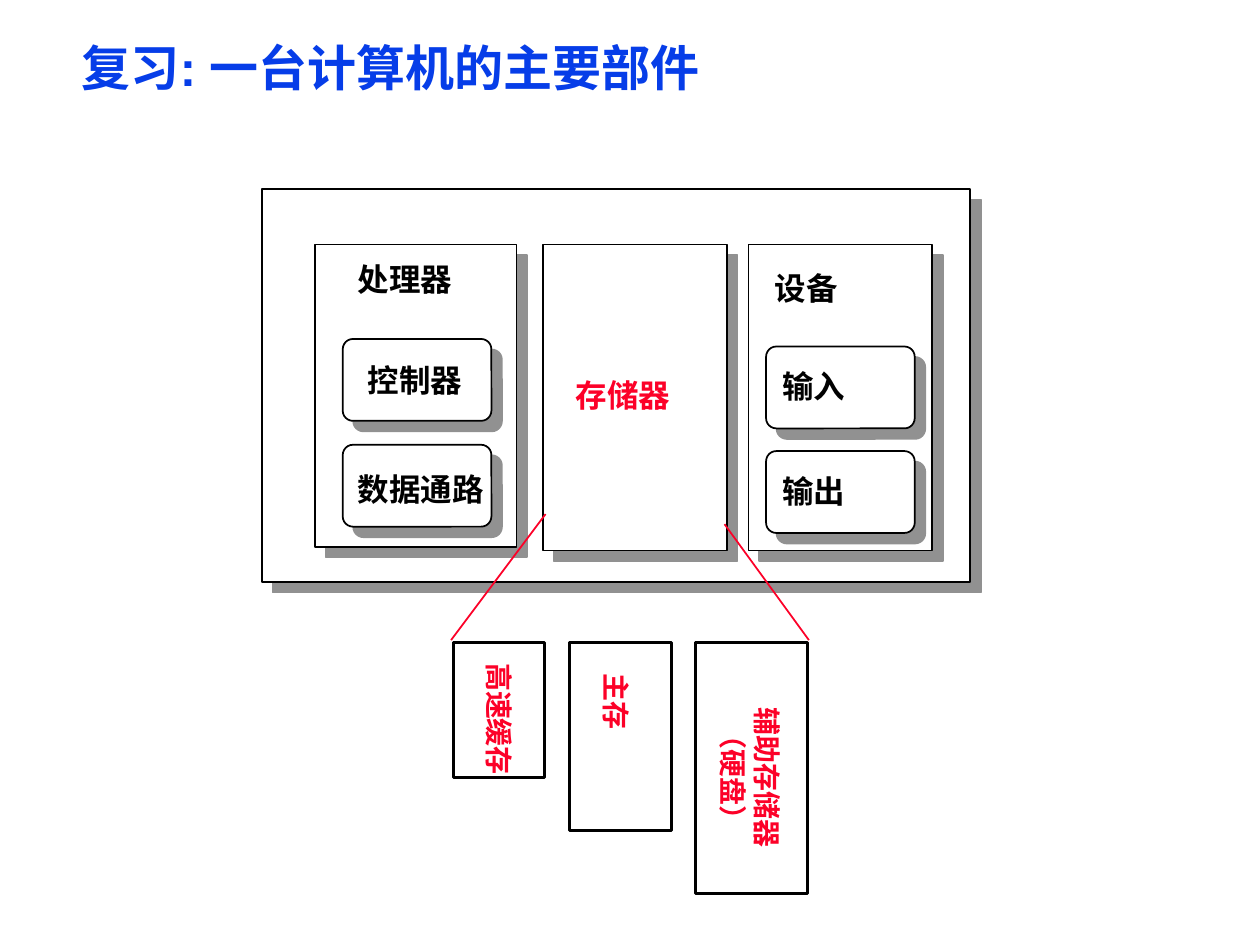
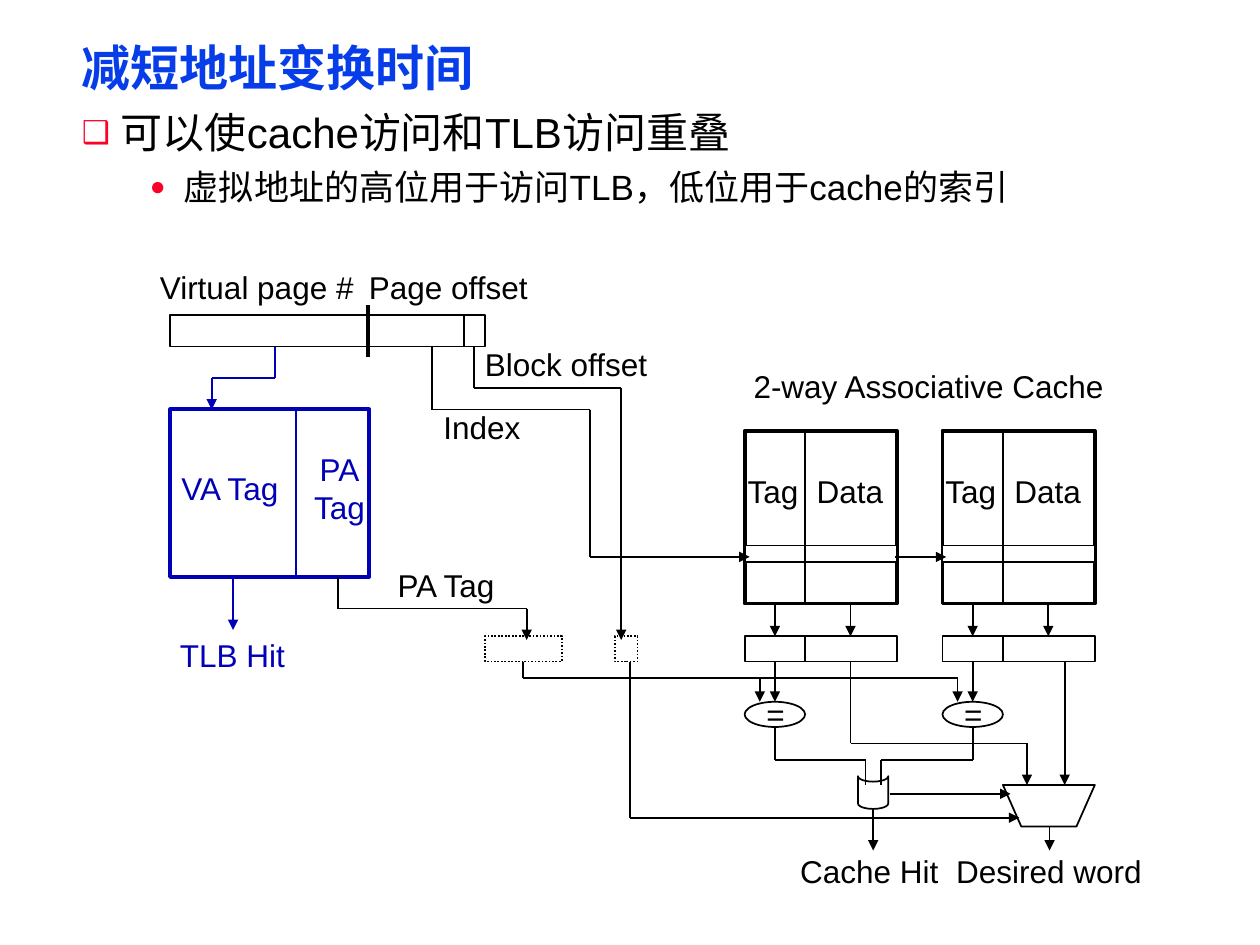
"""Build two lecture slides: computer components and overlapped TLB/cache access."""
from itertools import pairwise

from lxml import etree
from pptx import Presentation
from pptx.dml.color import RGBColor
from pptx.enum.dml import MSO_LINE
from pptx.enum.shapes import MSO_CONNECTOR, MSO_SHAPE as SHAPE
from pptx.enum.text import MSO_ANCHOR as ANCHOR, MSO_AUTO_SIZE, PP_ALIGN as ALIGN
from pptx.oxml.ns import qn
from pptx.util import Inches, Pt

FONT = "Arial"
BLACK = RGBColor(0x00, 0x00, 0x00)
WHITE = RGBColor(0xFF, 0xFF, 0xFF)
RED = RGBColor(0xFC, 0x01, 0x28)
TITLE_BLUE = RGBColor(0x06, 0x3D, 0xE8)
TLB_BLUE = RGBColor(0x00, 0x00, 0xB6)
SHADOW_GREY = RGBColor(0x91, 0x91, 0x91)
TIGHT = (0.07, 0.03)
LOOSE = (0.1, 0.05)


def write(tf, text, size=18, color=BLACK, bold=False, align=ALIGN.LEFT,
          anchor=ANCHOR.TOP, spacing=1.0, inset=LOOSE, wrap=True):
    """Fill a text frame, one paragraph for each line of text."""
    tf.auto_size = MSO_AUTO_SIZE.NONE
    tf.word_wrap = wrap
    tf.vertical_anchor = anchor
    tf.margin_left = tf.margin_right = Inches(inset[0])
    tf.margin_top = tf.margin_bottom = Inches(inset[1])
    for i, line in enumerate(text.split("\n")):
        p = tf.add_paragraph() if i else tf.paragraphs[0]
        p.alignment, p.line_spacing = align, spacing
        r = p.add_run()
        r.text = line
        font = r.font
        font.name, font.size, font.bold = FONT, Pt(size), bold
        font.color.rgb = color


def place(sp, left, top, width, height):
    """Move and size a shape, in inches."""
    sp.left, sp.top = Inches(left), Inches(top)
    sp.width, sp.height = Inches(width), Inches(height)


def add_label(slide, text, left, top, width, height=0.4, rotation=0, **fmt):
    """Add a text box."""
    sp = slide.shapes.add_textbox(0, 0, 0, 0)
    place(sp, left, top, width, height)
    sp.rotation = rotation
    write(sp.text_frame, text, **fmt)


def add_note(slide, text, left, top, width, height=0.4, align=ALIGN.CENTER, **fmt):
    """Add a diagram label centred on its middle line."""
    add_label(slide, text, left, top, width, height, align=align,
              anchor=ANCHOR.MIDDLE, **fmt)


def add_box(slide, left, top, width, height, kind=SHAPE.RECTANGLE, color=BLACK,
            weight=1, filled=True):
    """Add an outlined shape."""
    sp = slide.shapes.add_shape(kind, 0, 0, 0, 0)
    place(sp, left, top, width, height)
    sp.shadow.inherit = False
    if filled:
        sp.fill.solid()
        sp.fill.fore_color.rgb = WHITE
    else:
        sp.fill.background()
    sp.line.color.rgb = color
    sp.line.width = Pt(weight)
    return sp


def add_raised_box(slide, left, top, width, height, rounded=False):
    """Add a box that casts a hard grey shadow."""
    kind = SHAPE.ROUNDED_RECTANGLE if rounded else SHAPE.RECTANGLE
    sp = add_box(slide, left, top, width, height, kind)
    if rounded:
        sp.adjustments[0] = 0.125
    effects = sp._element.spPr.find(qn("a:effectLst"))
    shadow = etree.SubElement(effects, qn("a:outerShdw"), blurRad="0", dist=str(Pt(8.5)),
                              dir=str(45 * 60000), algn="tl", rotWithShape="0")
    etree.SubElement(shadow, qn("a:srgbClr"), val=str(SHADOW_GREY))


def add_wire(slide, left, top, points, color=BLACK, weight=1, arrow=False):
    """Join points given relative to left and top, with an optional end arrow."""
    for (x1, y1), (x2, y2) in pairwise(points):
        sp = slide.shapes.add_connector(
            MSO_CONNECTOR.STRAIGHT, Inches(left + x1), Inches(top + y1),
            Inches(left + x2), Inches(top + y2))
        sp.line.color.rgb = color
        sp.line.width = Pt(weight)
        etree.SubElement(sp._element.spPr, qn("a:effectLst"))
    if arrow:
        etree.SubElement(sp.line._get_or_add_ln(), qn("a:tailEnd"), type="triangle")


def add_titled_slide(prs, layout, title, width):
    """Add a slide with the shared title style."""
    slide = prs.slides.add_slide(prs.slide_layouts[layout])
    sp = slide.shapes.title
    place(sp, 0.58, 0.33, width, 0.47)
    write(sp.text_frame, title, size=28, color=TITLE_BLUE, bold=True,
          spacing=0.87, inset=TIGHT)
    return slide


def add_bullet(p, char, margin, hanging):
    """Give a paragraph a red bullet and a hanging indent."""
    pPr = p._p.get_or_add_pPr()
    pPr.set("marL", str(Inches(margin)))
    pPr.set("indent", str(-Inches(hanging)))
    color = etree.SubElement(pPr, qn("a:buClr"))
    etree.SubElement(color, qn("a:srgbClr"), val=str(RED))
    etree.SubElement(pPr, qn("a:buSzPct"), val="75000")
    etree.SubElement(pPr, qn("a:buFont"), typeface=FONT)
    etree.SubElement(pPr, qn("a:buChar"), char=char)


def fill_body(sp, heading, detail):
    """Write the two-level list in the body placeholder."""
    place(sp, 0.58, 0.86, 8.92, 0.84)
    write(sp.text_frame, f"{heading}\n{detail}", size=24, spacing=0.9, inset=TIGHT)
    first, second = sp.text_frame.paragraphs
    first.space_before = Pt(0)
    second.level, second.line_spacing, second.space_before = 1, 0.85, Pt(8)
    second.runs[0].font.size = Pt(20)
    add_bullet(first, "❑", 0.31, 0.31)
    add_bullet(second, "●", 0.81, 0.27)


def draw_computer(slide, left, top):
    """Draw the computer with its processor, memory and devices."""
    add_raised_box(slide, left, top, 5.62, 3.12)
    for x, width, height in ((0.42, 1.6, 2.4), (2.23, 1.46, 2.43), (3.86, 1.46, 2.43)):
        add_raised_box(slide, left + x, top + 0.44, width, height)
    for x, y in ((0.64, 1.19), (0.64, 2.03), (4, 1.25), (4, 2.08)):
        add_raised_box(slide, left + x, top + y, 1.18, 0.65, rounded=True)
    parts = (("处理器", 0.69, 0.58, BLACK), ("控制器", 0.77, 1.38, BLACK),
             ("数据通路", 0.69, 2.25, BLACK), ("存储器", 2.42, 1.5, RED),
             ("设备", 4, 0.65, BLACK), ("输入", 4.06, 1.43, BLACK),
             ("输出", 4.06, 2.26, BLACK))
    for text, x, y, color in parts:
        add_label(slide, text, left + x, top + y, 1.15, 0.31, color=color, bold=True,
                  spacing=0.85, inset=TIGHT, wrap=False)


def draw_memory_levels(slide, left, top):
    """Draw the memory levels and the lines that open them out."""
    for x, width, height in ((0, 0.72, 1.07), (0.92, 0.81, 1.49), (1.92, 0.89, 1.99)):
        add_box(slide, left + x, top, width, height, weight=2, filled=False)
    levels = (("高速缓存", -0.19, 0.43, 1.1, 0.37, ALIGN.LEFT),
              ("主存", 0.67, 0.59, 1.25, 0.37, ALIGN.LEFT),
              ("辅助存储器\n（硬盘）", 1.52, 0.75, 1.67, 0.64, ALIGN.CENTER))
    for text, x, y, width, height, align in levels:
        add_label(slide, text, left + x, top + y, width, height, rotation=90, size=16,
                  color=RED, bold=True, align=align, wrap="\n" in text)
    for points in (((0.73, -1.02), (-0.02, -0.02)), ((2.15, -0.94), (2.82, -0.02))):
        add_wire(slide, left, top, points, color=RED)


def draw_address(slide, left, top):
    """Draw the virtual address and its fields."""
    add_box(slide, left, top, 2.5, 0.25)
    add_wire(slide, left, top, ((1.57, -0.08), (1.57, 0.33)), weight=2.25)
    add_wire(slide, left, top, ((2.33, 0), (2.33, 0.25)))
    for text, x, y in (("Virtual page #", -0.18, -0.42), ("Page offset", 1.48, -0.42),
                       ("Block offset", 2.4, 0.19)):
        add_note(slide, text, left + x, top + y, 1.92, align=ALIGN.LEFT)
    add_note(slide, "Index", left + 1.6, top + 0.69, 1.75)


def draw_tlb(slide, left, top):
    """Draw the TLB with its input and outputs."""
    add_box(slide, left, top, 1.58, 1.33, color=TLB_BLUE, weight=2.25)
    add_wire(slide, left, top, ((1, 0), (1, 1.33)), color=TLB_BLUE)
    for points in (((0.83, -0.5), (0.83, -0.25), (0.33, -0.25), (0.33, 0)),
                   ((0.5, 1.33), (0.5, 1.75))):
        add_wire(slide, left, top, points, color=TLB_BLUE, arrow=True)
    for text, x, y, width, height in (("VA Tag", -0.04, 0.42, 1.03, 0.4),
                                      ("PA\nTag", 1.03, 0.27, 0.63, 0.7),
                                      ("TLB Hit", -0.02, 1.75, 1.03, 0.4)):
        add_note(slide, text, left + x, top + y, width, height, color=TLB_BLUE, wrap=False)
    add_note(slide, "PA Tag", left + 1.4, top + 1.19, 1.58)


def draw_cache_way(slide, left, top):
    """Draw one cache way, its output buffer and its tag comparator."""
    add_box(slide, left, top, 1.21, 1.37, weight=2.25)
    add_box(slide, left, top + 0.91, 1.21, 0.13)
    add_box(slide, left, top + 1.63, 1.21, 0.2)
    add_box(slide, left, top + 2.15, 0.48, 0.2, SHAPE.OVAL)
    for y1, y2 in ((0, 1.37), (1.63, 1.83)):
        add_wire(slide, left, top, ((0.48, y1), (0.48, y2)))
    for x, y1, y2 in ((0.24, 1.37, 1.63), (0.84, 1.37, 1.63),
                      (0.24, 1.83, 2.15), (0.12, 1.96, 2.15)):
        add_wire(slide, left, top, ((x, y1), (x, y2)), arrow=True)
    for text, x, y, width in (("Tag", -0.09, 0.28, 0.63), ("Data", 0.47, 0.28, 0.73),
                              ("=", 0.07, 2.05, 0.35)):
        add_note(slide, text, left + x, top + y, width, wrap=False)


def draw_address_wires(slide, left, top):
    """Draw the latches and the wires from the address and TLB to the cache."""
    for x, width in ((2.5, 0.61), (3.53, 0.18)):
        latch = add_box(slide, left + x, top + 2.55, width, 0.2)
        latch.line.dash_style = MSO_LINE.ROUND_DOT
    for points in (((2.08, 0.25), (2.08, 0.75), (3.33, 0.75), (3.33, 1.92), (4.6, 1.92)),
                   ((2.41, 0.25), (2.41, 0.58), (3.58, 0.58), (3.58, 2.58)),
                   ((1.33, 2.08), (1.33, 2.33), (2.83, 2.33), (2.83, 2.58)),
                   ((5.75, 1.92), (6.16, 1.92))):
        add_wire(slide, left, top, points, arrow=True)
    add_wire(slide, left, top, ((2.8, 2.75), (2.8, 2.88), (6.25, 2.88)))


def draw_output_logic(slide, left, top):
    """Draw the hit gate, the word selector and their wires."""
    gate = add_box(slide, left + 0.89, top + 0.92, 0.26, 0.24, SHAPE.FLOWCHART_STORED_DATA)
    gate.rotation = 270
    add_box(slide, left + 2.05, top + 0.98, 0.73, 0.33, SHAPE.FLOWCHART_MANUAL_OPERATION)
    for comparator, pin in ((0.24, 0.96), (1.81, 1.08)):
        add_wire(slide, left, top, ((comparator, 0.52), (comparator, 0.78),
                                    (pin, 0.78), (pin, 0.98)))
    for points in (((0.84, 0), (0.84, 0.65), (2.24, 0.65), (2.24, 0.98)),
                   ((2.54, 0), (2.54, 0.98)),
                   ((1.02, 1.18), (1.02, 1.5)),
                   ((2.42, 1.31), (2.42, 1.5)),
                   ((1.15, 1.05), (2.11, 1.05)),
                   ((-0.91, 0), (-0.91, 1.24), (2.18, 1.24))):
        add_wire(slide, left, top, points, arrow=True)
    for text, x, width in (("Cache Hit", 0.34, 1.3), ("Desired word", 1.58, 1.67)):
        add_note(slide, text, left + x, top + 1.46, width, wrap=False)


def build_components_slide(prs):
    """Build the slide on the main parts of a computer."""
    slide = add_titled_slide(prs, 5, "复习: 一台计算机的主要部件", 5.1)
    draw_computer(slide, 2.08, 1.5)
    draw_memory_levels(slide, 3.6, 5.1)


def build_translation_slide(prs):
    """Build the slide on shortening address translation."""
    slide = add_titled_slide(prs, 1, "减短地址变换时间", 8.92)
    fill_body(slide.placeholders[1], "可以使cache访问和TLB访问重叠",
              "虚拟地址的高位用于访问TLB，低位用于cache的索引")
    for left in (5.91, 7.48):
        draw_cache_way(slide, left, 3.42)
    add_note(slide, "2-way Associative Cache", 5.83, 2.86, 3.08)
    draw_address(slide, 1.35, 2.5)
    draw_tlb(slide, 1.35, 3.25)
    draw_address_wires(slide, 1.35, 2.5)
    draw_output_logic(slide, 5.91, 5.25)


def main():
    """Build and save the slides."""
    prs = Presentation()
    prs.slide_width, prs.slide_height = Inches(10), Inches(7.5)
    build_components_slide(prs)
    build_translation_slide(prs)
    prs.save("out.pptx")


if __name__ == "__main__":
    main()
